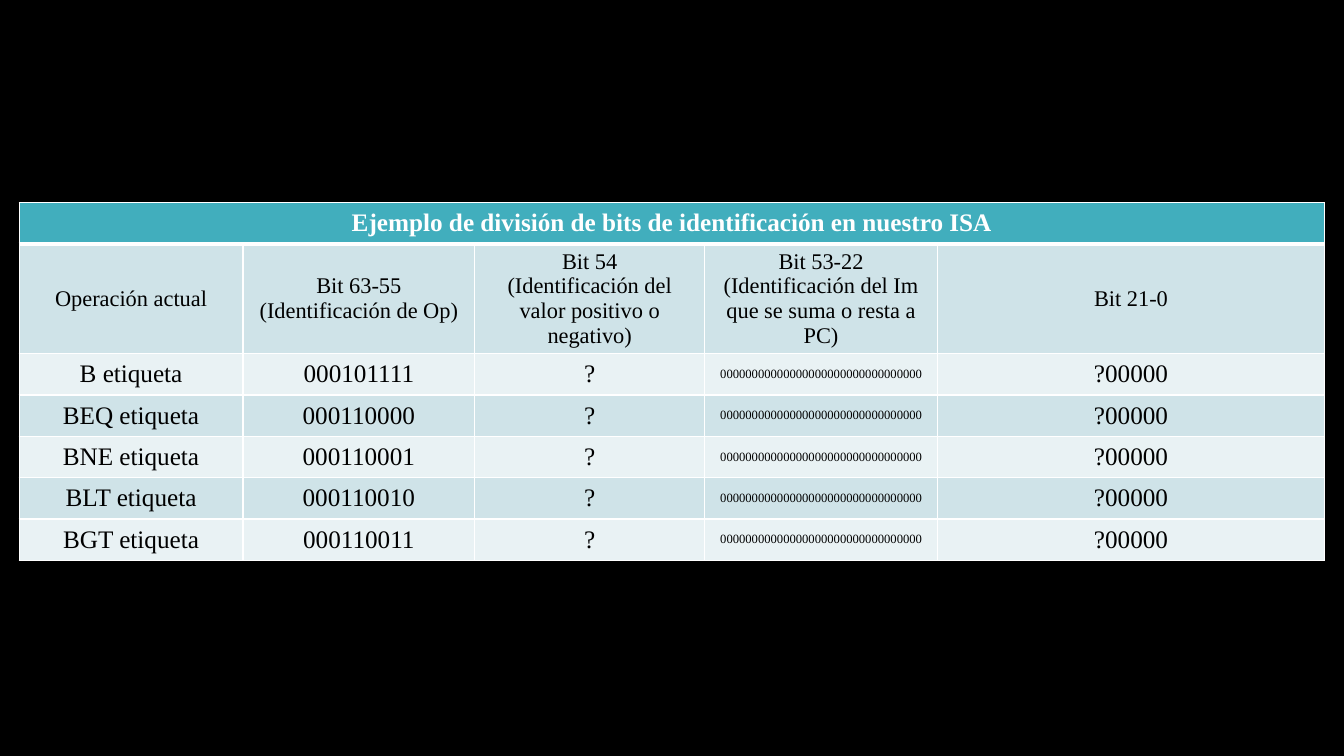
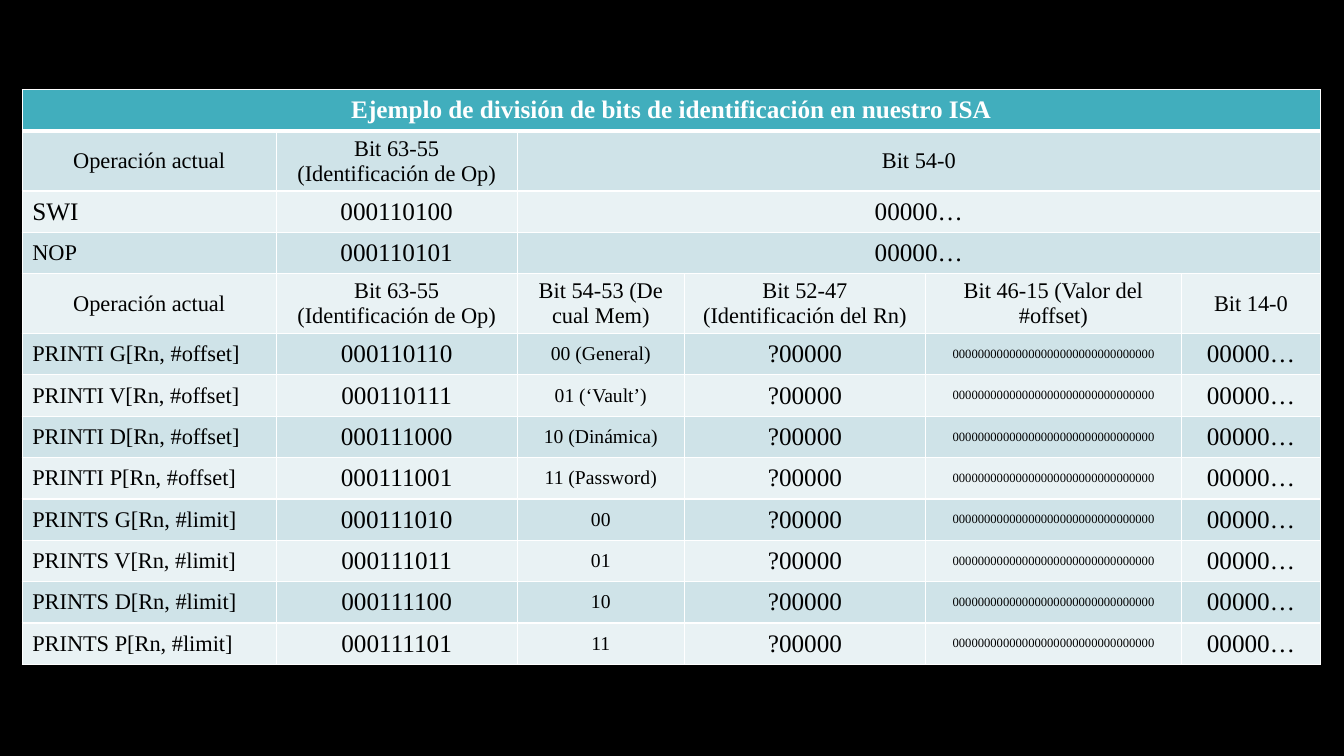
"""Builds two slides with the bit layout of the ISA instructions."""
from lxml.etree import SubElement
from pptx import Presentation
from pptx.dml.color import RGBColor
from pptx.enum.text import MSO_ANCHOR, PP_ALIGN
from pptx.oxml import parse_xml
from pptx.oxml.ns import nsdecls, qn
from pptx.util import Inches, Pt

COLORS = {
    "back": "000000",
    "text": "000000",
    "title": "41AEBD",
    "title_text": "FFFFFF",
    "dark_band": "CFE3E8",
    "light_band": "E9F2F4",
    "border": "FFFFFF",
}
FONT = "Times New Roman"
TITLE = "Ejemplo de división de bits de identificación en nuestro ISA"
ROW = 5.47
IMMEDIATE = "0" * 32
REST = "00000…"
REGISTER = "?00000"
OPERATION = ["Operación actual", "Bit 63-55 (Identificación de Op)"]


def opcode(number):
    return format(number, "09b")


class Deck:
    def __init__(self):
        self.prs = Presentation()
        self.prs.slide_width = Inches(13.33)
        self.prs.slide_height = Inches(7.5)
        self.s = None

    def x(self, percent):
        return round(self.prs.slide_width * percent / 100)

    def y(self, percent):
        return round(self.prs.slide_height * percent / 100)

    def slide(self):
        self.s = self.prs.slides.add_slide(self.prs.slide_layouts[6])
        fill = self.s.background.fill
        fill.solid()
        fill.fore_color.rgb = RGBColor.from_string(COLORS["back"])

    def borders(self, cell, top, bottom):
        tc_pr = cell._tc.get_or_add_tcPr()
        widths = {"lnL": 1, "lnR": 1, "lnT": top, "lnB": bottom}
        for i, (tag, width) in enumerate(widths.items()):
            ln = parse_xml(f'<a:{tag} {nsdecls("a")} w="{Pt(width)}"/>')
            solid = SubElement(ln, qn("a:solidFill"))
            SubElement(solid, qn("a:srgbClr"), val=COLORS["border"])
            tc_pr.insert(i, ln)

    def cell_text(self, cell, text, size, align, color, bold):
        cell.vertical_anchor = MSO_ANCHOR.MIDDLE
        tf = cell.text_frame
        for i, line in enumerate(text.split("\n")):
            p = tf.add_paragraph() if i else tf.paragraphs[0]
            p.alignment = align
            r = p.add_run()
            r.text = line
            r.font.name = FONT
            r.font.size = Pt(size)
            r.font.bold = bold
            r.font.color.rgb = RGBColor.from_string(COLORS[color])

    def table(self, left, top, widths, rows, first_align=PP_ALIGN.CENTER):
        """Each row is (height, sizes, texts); its last text spans the remaining columns."""
        rows = [(ROW, [18], [TITLE])] + rows
        height = sum(row[0] for row in rows)
        frame = self.s.shapes.add_table(
            len(rows), len(widths), self.x(left), self.y(top),
            self.x(sum(widths)), self.y(height))
        tbl = frame.table
        tbl.first_row = tbl.horz_banding = False
        for column, width in zip(tbl.columns, widths):
            column.width = self.x(width)
        for n, (height, sizes, texts) in enumerate(rows):
            tbl.rows[n].height = self.y(height)
            band = "dark_band" if n % 2 else "light_band"
            for c in range(len(widths)):
                cell = tbl.cell(n, c)
                cell.fill.solid()
                cell.fill.fore_color.rgb = RGBColor.from_string(
                    COLORS[band if n else "title"])
                self.borders(cell, 3 if n == 1 else 1, 1 if n else 3)
            last = len(texts) - 1
            if last < len(widths) - 1:
                tbl.cell(n, last).merge(tbl.cell(n, len(widths) - 1))
            for c, (text, size) in enumerate(zip(texts, sizes)):
                is_label = c == 0 and n and texts[0] != OPERATION[0]
                self.cell_text(tbl.cell(n, c), text, size,
                               first_align if is_label else PP_ALIGN.CENTER,
                               "text" if n else "title_text", n == 0)


def heading(height, *fields):
    texts = OPERATION + list(fields)
    return height, [16] * len(texts), texts


def branch_slide(deck):
    deck.slide()
    rows = [heading(14.27,
                    "Bit 54\n(Identificación del valor positivo o negativo)",
                    "Bit 53-22 (Identificación del Im que se suma o resta a PC)",
                    "Bit 21-0")]
    for code, name in enumerate(["B", "BEQ", "BNE", "BLT", "BGT"], 47):
        rows.append((ROW, [18, 18, 18, 9, 18],
                     [f"{name} etiqueta", opcode(code), "?", IMMEDIATE, REGISTER]))
    deck.table(1.43, 26.8, [16.65, 17.25, 17.1, 17.33, 28.8], rows)


def print_slide(deck):
    deck.slide()
    rows = [
        heading(7.87, "Bit 54-0"),
        (ROW, [18, 18, 18], ["SWI", opcode(52), REST]),
        (ROW, [16, 18, 18], ["NOP", opcode(53), REST]),
        heading(7.87, "Bit 54-53 (De cual Mem)",
                "Bit 52-47 (Identificación del Rn)",
                "Bit 46-15 (Valor del #offset)", "Bit 14-0"),
    ]
    memories = ["00 (General)", "01 (‘Vault’)", "10 (Dinámica)", "11 (Password)"]
    code = 54
    for name, operand in [("PRINTI", "#offset"), ("PRINTS", "#limit")]:
        for letter, memory in zip("GVDP", memories):
            rows.append((ROW, [16, 18, 14, 18, 9, 18],
                         [f"{name} {letter}[Rn, {operand}]", opcode(code),
                          memory if name == "PRINTI" else memory[:2],
                          REGISTER, IMMEDIATE, REST]))
            code += 1
    deck.table(1.65, 11.87, [18.9, 17.93, 12.45, 17.93, 19.05, 10.35], rows,
               PP_ALIGN.LEFT)


def main():
    deck = Deck()
    branch_slide(deck)
    print_slide(deck)
    deck.prs.save("out.pptx")


if __name__ == "__main__":
    main()
